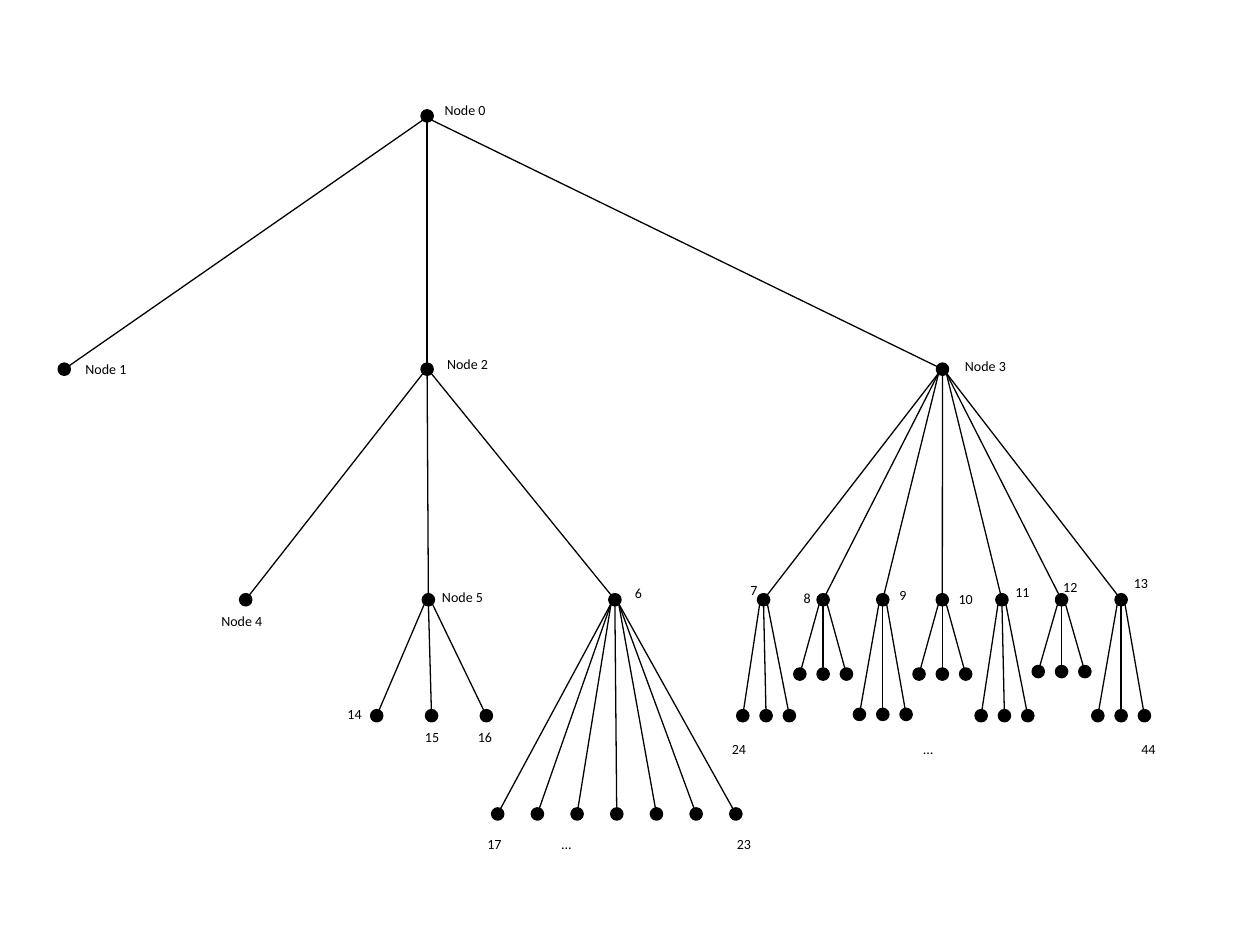
from lxml.etree import SubElement
from pptx import Presentation
from pptx.dml.color import RGBColor
from pptx.enum.shapes import MSO_CONNECTOR as Link, MSO_SHAPE as Shape
from pptx.enum.text import MSO_AUTO_SIZE as Fit, PP_ALIGN as Align
from pptx.oxml.ns import qn
from pptx.util import Inches, Pt

BLACK = RGBColor(0, 0, 0)
DOT = 0.08
SPREAD = 0.03
LEFT, MID, RIGHT = Align.LEFT, Align.CENTER, Align.RIGHT

# Row heights of the tree
TOP, UPPER, LOWER, LEAF, DEEP = 0.92, 2.93, 4.76, 5.68, 6.46

# Node: (x, y, parent)
nodes = {
    0: (3.39, TOP, None),
    1: (0.51, UPPER, 0),
    2: (3.39, UPPER, 0),
    3: (7.48, UPPER, 0),
    4: (1.95, LOWER, 2),
    5: (3.4, LOWER, 2),
    6: (4.88, LOWER, 2),
}

# Fans with even gaps: (first node, count, first x, gap, y, parent)
fans = [
    (7, 7, 6.06, 0.473, LOWER, 3),
    (14, 3, 2.99, 0.435, LEAF, 5),
    (17, 7, 3.95, 0.315, DEEP, 6),
]

# Leaf trios below nodes 7 to 13: (leaf y, shift to the right)
trios = [(LEAF, 0.02), (5.35, 0), (5.67, 0), (5.35, 0),
         (LEAF, 0.02), (5.33, 0), (LEAF, 0)]
TRIO_GAP = 0.185

# Label: (text, left, top, alignment)
labels = [
    ("Node 0", 3.43, 0.76, LEFT),
    ("Node 1", 0.58, 2.81, LEFT),
    ("Node 2", 3.45, 2.77, LEFT),
    ("Node 3", 7.56, 2.79, LEFT),
    ("Node 4", 1.44, 4.81, MID),
    ("Node 5", 3.41, 4.62, LEFT),
    ("6", 4.94, 4.59, LEFT),
    ("7", 5.15, 4.57, RIGHT),
    ("8", 6.28, 4.63, LEFT),
    ("9", 7.04, 4.61, LEFT),
    ("10", 7.51, 4.64, LEFT),
    ("11", 7.96, 4.58, LEFT),
    ("12", 8.34, 4.54, LEFT),
    ("13", 8.9, 4.51, LEFT),
    ("14", 2.01, 5.55, RIGHT),
    ("15", 2.95, 5.73, MID),
    ("16", 3.37, 5.73, MID),
]

# Range label: (text, left, top, width, tab stops)
ranges = [
    ("17\t…\t23", 3.77, 6.58, 2.3, (0.59, 1.98)),
    ("24\t…\t44", 5.71, 5.83, 3.58, (1.52, 3.25)),
]


def grow():
    """Add the nodes of all fans and trios to the tree."""
    for first, count, x, gap, y, parent in fans:
        for i in range(count):
            nodes[first + i] = (x + i * gap, y, parent)
    for i, (y, shift) in enumerate(trios):
        for j in range(3):
            x = nodes[7 + i][0] + shift + (j - 1) * TRIO_GAP
            nodes[24 + 3 * i + j] = (x, y, 7 + i)


def add_edge(x, y, parent):
    """Draw a line from a node up to the lower rim of its parent."""
    px, py, _ = nodes[parent]
    side = (x > px + 0.1) - (x < px - 0.1)
    ends = (x, y, px + side * SPREAD, py + SPREAD)
    edge = slide.shapes.add_connector(Link.STRAIGHT, *map(Inches, ends))
    edge.line.color.rgb = BLACK
    edge.line.width = Pt(0.75)
    SubElement(edge._element.spPr, qn("a:effectLst"))


def add_dot(x, y):
    """Draw a node around its centre."""
    box = (x - DOT / 2, y - DOT / 2, DOT, DOT)
    dot = slide.shapes.add_shape(Shape.OVAL, *map(Inches, box))
    dot.shadow.inherit = False
    dot.fill.solid()
    dot.fill.fore_color.rgb = BLACK
    dot.line.color.rgb = BLACK
    dot.line.width = Pt(2)


def add_label(text, left, top, align=LEFT, width=0.96, tabs=()):
    """Write a label, with tab stops if there are any."""
    box = slide.shapes.add_textbox(*map(Inches, (left, top, width, 0.24)))
    frame = box.text_frame
    frame.word_wrap = True
    frame.auto_size = Fit.SHAPE_TO_FIT_TEXT
    para = frame.paragraphs[0]
    para.text = text
    para.alignment = align
    for run in para.runs:
        run.font.name = "Calibri"
        run.font.size = Pt(8)
        run.font.color.rgb = BLACK
    if tabs:
        stops = SubElement(para._p.get_or_add_pPr(), qn("a:tabLst"))
        for pos in tabs:
            SubElement(stops, qn("a:tab"), pos=str(Inches(pos)), algn="l")


deck = Presentation()
deck.slide_width, deck.slide_height = Inches(10), Inches(7.5)
slide = deck.slides.add_slide(deck.slide_layouts[6])

grow()
for x, y, parent in nodes.values():
    add_dot(x, y)
for x, y, parent in nodes.values():
    if parent is not None:
        add_edge(x, y, parent)
for label in labels:
    add_label(*label)
for text, left, top, width, tabs in ranges:
    add_label(text, left, top, width=width, tabs=tabs)

deck.save("out.pptx")
